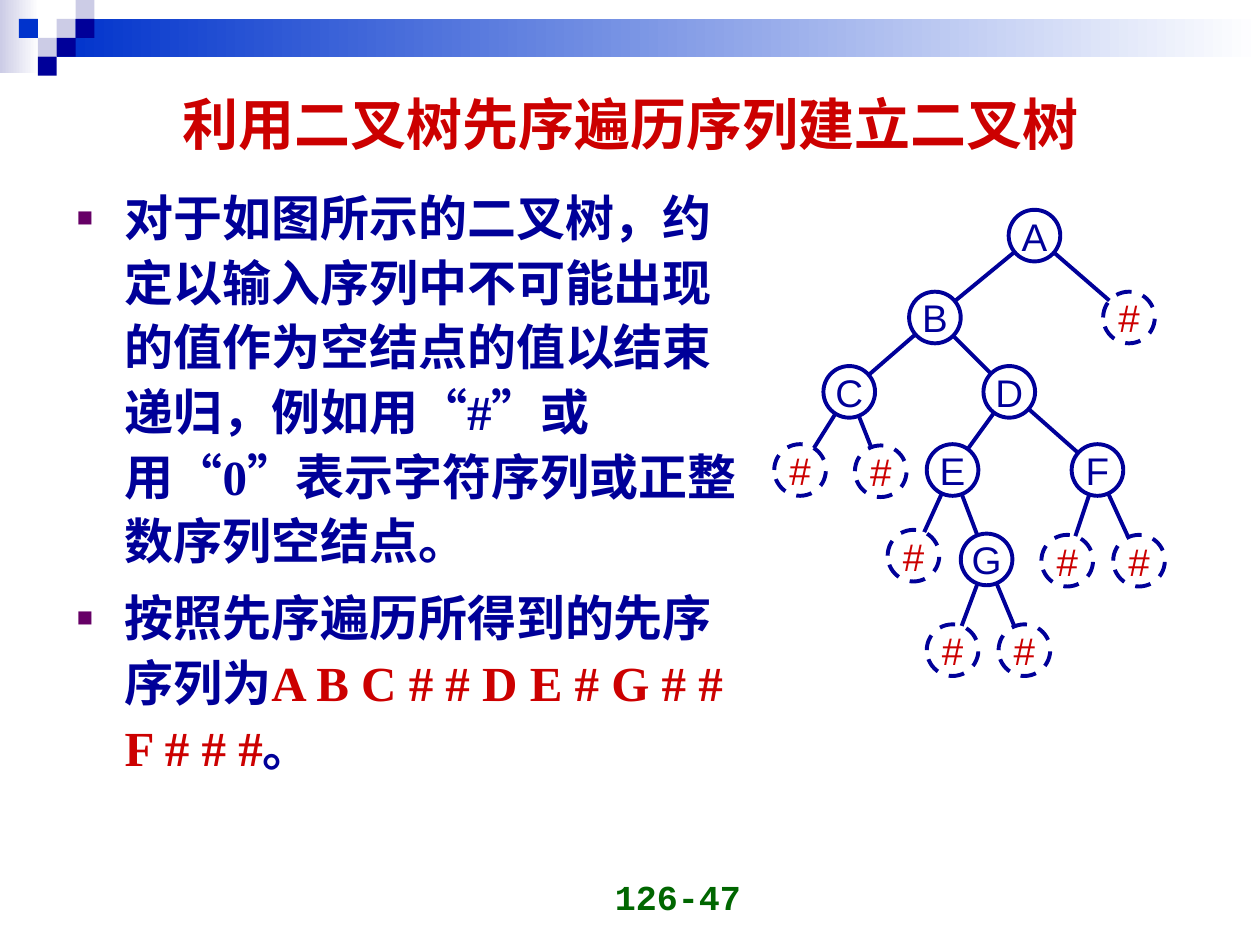
import math

from lxml import etree
from pptx import Presentation
from pptx import util as u
from pptx.dml.color import RGBColor
from pptx.enum import dml, lang, shapes, text
from pptx.oxml.ns import qn

NAVY, BLUE, LILAC, WHITE = "000099", "0033CC", "CCCCE6", "FFFFFF"
RED, GREEN, PURPLE = "CC0000", "006600", "660066"

TITLE = "利用二叉树先序遍历序列建立二叉树"
PAGE_NUMBER = "126-47"
# Each paragraph is a list of (wording, font, colour).
BODY = [
    [("对于如图所示的二叉树，", "Times New Roman", NAVY),
     ("约定以输入序列中不可能出现的值作为空结点的值以结束递归，例如用“", "Arial", NAVY),
     ("#”", "Times New Roman", NAVY),
     ("或用“", "Arial", NAVY),
     ("0", "Times New Roman", NAVY),
     ("”表示字符序列或正整数序列空结点。", "Arial", NAVY)],
    [("按照先序遍历所得到的先序序列为", "Times New Roman", NAVY),
     ("A B C # # D E # G # # F # # #", "Times New Roman", RED),
     ("。", "Times New Roman", NAVY)],
]

# Preorder: (label, centre x, centre y, index of parent).
TREE = [
    ("A", 8.21, 1.87, None),
    ("B", 7.42, 2.52, 0),
    ("C", 6.74, 3.11, 1),
    ("#", 6.35, 3.73, 2),
    ("#", 6.99, 3.74, 2),
    ("D", 8.01, 3.11, 1),
    ("E", 7.56, 3.73, 5),
    ("#", 7.25, 4.41, 6),
    ("G", 7.83, 4.44, 6),
    ("#", 7.56, 5.16, 8),
    ("#", 8.13, 5.16, 8),
    ("F", 8.71, 3.73, 5),
    ("#", 8.47, 4.45, 11),
    ("#", 9.04, 4.45, 11),
    ("#", 8.96, 2.52, 0),
]
NODE_SIZE = 0.41
EDGE_INSET = 0.12

# Header mosaic: (column, row, colour) on a square grid.
CELL = 0.15
MOSAIC = [(3, 1, LILAC), (4, 0, LILAC), (4, 1, NAVY), (2, 2, LILAC),
          (1, 1, BLUE), (3, 2, NAVY), (2, 3, NAVY)]
# Header bands: (left, top, width, height, colour fading to white).
BANDS = [(0, 0, 0.31, 0.58, LILAC), (0.45, 0.15, 9.55, 0.3, BLUE)]


def color(value):
    return RGBColor.from_string(value)


def box(left, top, width, height):
    return [u.Inches(n) for n in (left, top, width, height)]


def place(placeholder, *area):
    placeholder.left, placeholder.top, placeholder.width, placeholder.height = box(*area)


def style(font, size=None, name=None, fill=None, bold=None):
    if size:
        font.size = u.Pt(size)
    if name:
        font.name = name
    if fill:
        font.color.rgb = color(fill)
    if bold is not None:
        font.bold = bold


def add_plain(slide, kind, *area):
    shape = slide.shapes.add_shape(kind, *box(*area))
    shape.shadow.inherit = False
    return shape


def add_header(slide):
    for *area, start in BANDS:
        band = add_plain(slide, shapes.MSO_SHAPE.RECTANGLE, *area)
        band.line.fill.background()
        band.fill.gradient()
        band.fill.gradient_angle = 0
        for stop, shade in zip(band.fill.gradient_stops, (start, WHITE)):
            stop.color.rgb = color(shade)
    for column, row, shade in MOSAIC:
        tile = add_plain(slide, shapes.MSO_SHAPE.RECTANGLE,
                         column * CELL, row * CELL, CELL, CELL)
        tile.line.fill.background()
        tile.fill.solid()
        tile.fill.fore_color.rgb = color(shade)


def add_bullet(paragraph):
    """Hang a small square; call before the paragraph's font is set."""
    props = paragraph._p.get_or_add_pPr()
    props.set("marL", str(u.Inches(0.38)))
    props.set("indent", str(-u.Inches(0.38)))
    tint = etree.SubElement(props, qn("a:buClr"))
    etree.SubElement(tint, qn("a:srgbClr"), val=PURPLE)
    etree.SubElement(props, qn("a:buSzPct"), val="55000")
    etree.SubElement(props, qn("a:buFont"), typeface="Arial")
    etree.SubElement(props, qn("a:buChar"), char="■")


def add_run(paragraph, wording):
    run = paragraph.add_run()
    run.text = wording
    run.font.language_id = lang.MSO_LANGUAGE_ID.SIMPLIFIED_CHINESE
    return run


def fill_title(title):
    place(title, 0.51, 0.36, 9, 1.18)
    frame = title.text_frame
    frame.auto_size = text.MSO_AUTO_SIZE.NONE
    frame.vertical_anchor = text.MSO_ANCHOR.MIDDLE
    heading = frame.paragraphs[0]
    heading.alignment = text.PP_ALIGN.CENTER
    heading.line_spacing = 1.1
    style(heading.font, 32, "Arial", RED, True)
    add_run(heading, TITLE)


def fill_body(body):
    place(body, 0.51, 1.39, 5.52, 5.36)
    frame = body.text_frame
    frame.auto_size = text.MSO_AUTO_SIZE.NONE
    for index, pieces in enumerate(BODY):
        paragraph = frame.add_paragraph() if index else frame.paragraphs[0]
        add_bullet(paragraph)
        paragraph.line_spacing = 1.1
        paragraph.space_before = u.Pt(7)
        style(paragraph.font, size=28, bold=True)
        for wording, typeface, shade in pieces:
            style(add_run(paragraph, wording).font, name=typeface, fill=shade)


def add_edge(slide, parent, child):
    """Join two nodes, with both ends tucked just under their circles."""
    (_, x1, y1, _), (_, x2, y2, _) = parent, child
    share = EDGE_INSET / math.hypot(x2 - x1, y2 - y1)
    dx, dy = (x2 - x1) * share, (y2 - y1) * share
    edge = slide.shapes.add_connector(
        shapes.MSO_CONNECTOR.STRAIGHT, *box(x1 + dx, y1 + dy, x2 - dx, y2 - dy))
    edge.line.color.rgb = color(NAVY)
    edge.line.width = u.Pt(2.25)
    etree.SubElement(edge._element.spPr, qn("a:effectLst"))


def add_node(slide, label, x, y):
    empty = label == "#"
    node = add_plain(slide, shapes.MSO_SHAPE.OVAL, x - NODE_SIZE / 2,
                     y - NODE_SIZE / 2, NODE_SIZE, NODE_SIZE)
    node.fill.solid()
    node.fill.fore_color.rgb = color(WHITE)
    node.line.color.rgb = color(NAVY)
    node.line.width = u.Pt(2.25)
    if empty:
        node.line.dash_style = dml.MSO_LINE.DASH
    frame = node.text_frame
    frame.margin_left = frame.margin_right = frame.margin_top = frame.margin_bottom = 0
    frame.word_wrap = False
    frame.vertical_anchor = text.MSO_ANCHOR.MIDDLE
    frame.text = label
    frame.paragraphs[0].alignment = text.PP_ALIGN.CENTER
    style(frame.paragraphs[0].font, 22, "Arial", RED if empty else NAVY)


def add_page_number(slide):
    frame = slide.shapes.add_textbox(*box(3.65, 6.83, 2.33, 0.5)).text_frame
    frame.word_wrap = True
    frame.vertical_anchor = text.MSO_ANCHOR.BOTTOM
    frame.text = PAGE_NUMBER
    frame.paragraphs[0].alignment = text.PP_ALIGN.RIGHT
    style(frame.paragraphs[0].font, 20, "Courier New", GREEN, True)


def main():
    deck = Presentation()
    deck.slide_width, deck.slide_height = u.Inches(10), u.Inches(7.5)
    slide = deck.slides.add_slide(deck.slide_layouts[1])
    add_header(slide)
    add_page_number(slide)
    fill_title(slide.shapes.title)
    fill_body(slide.placeholders[1])
    for node in TREE[1:]:
        add_edge(slide, TREE[node[3]], node)
    for label, x, y, _ in TREE:
        add_node(slide, label, x, y)
    deck.save("out.pptx")


if __name__ == "__main__":
    main()
